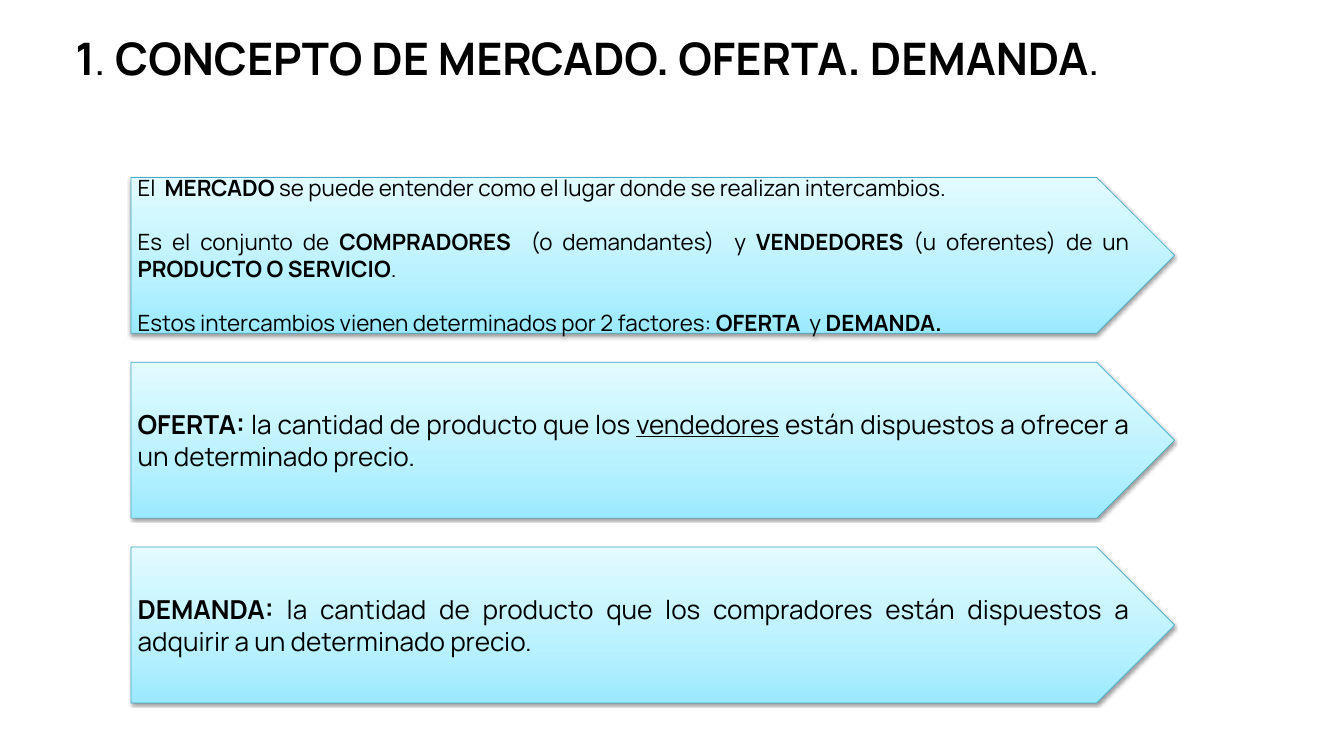
"""Build a slide that defines market, supply and demand."""
from copy import deepcopy
from dataclasses import dataclass

from lxml import etree
from pptx import Presentation
from pptx import util as u
from pptx.dml.color import RGBColor
from pptx.enum import shapes, text
from pptx.oxml import ns


@dataclass(frozen=True)
class Theme:
    font: str = "Manrope"
    ink: str = "000000"
    edge: str = "45A9C4"
    fade: tuple = ((0, "9BE9FF"), (0.35, "B8F1FF"), (1, "E2FBFF"))
    head: int = 48
    body: int = 24
    large: int = 28
    gap: int = 29


def px(n):
    return u.Emu(n * 9144)


def write(par, words, font, size, color, bold=False, line=False):
    run = par.add_run()
    run.text = words
    run.font.name = font
    run.font.size = u.Pt(size)
    run.font.bold = bold
    run.font.underline = line
    run.font.color.rgb = RGBColor.from_string(color)


class Deck:
    def __init__(self, theme):
        self.theme = theme
        self.prs = Presentation()
        self.prs.slide_width, self.prs.slide_height = px(2000), px(1125)
        self.slide = self.prs.slides.add_slide(self.prs.slide_layouts[6])

    def mark(self, par, words, size):
        for i, part in enumerate(words.split("*")):
            for j, bit in enumerate(part.split("_")):
                if bit:
                    write(par, bit, self.theme.font, size, self.theme.ink,
                          bold=i % 2 == 1, line=j % 2 == 1)

    def title(self, words, x, y, w, h):
        box = self.slide.shapes.add_textbox(*map(px, (x, y, w, h)))
        frame = box.text_frame
        frame.word_wrap = True
        frame.auto_size = text.MSO_AUTO_SIZE.SHAPE_TO_FIT_TEXT
        frame.margin_left = frame.margin_right = 0
        frame.margin_top = frame.margin_bottom = 0
        par = frame.paragraphs[0]
        par.space_after = u.Pt(9)
        self.mark(par, words, self.theme.head)

    def paint(self, shape):
        shape.fill.gradient()
        shape.fill.gradient_angle = 90
        first = shape.element.spPr.find(".//" + ns.qn("a:gs"))
        first.addnext(deepcopy(first))
        for stop, (pos, color) in zip(shape.fill.gradient_stops, self.theme.fade):
            stop.position = pos
            stop.color.rgb = RGBColor.from_string(color)
        shape.line.color.rgb = RGBColor.from_string(self.theme.edge)
        shape.line.width = u.Pt(0.75)

    def shade(self, shape):
        shape.shadow.inherit = False
        glow = etree.SubElement(
            shape.element.spPr.find(ns.qn("a:effectLst")), ns.qn("a:outerShdw"),
            blurRad=str(u.Pt(3.1)), dist=str(u.Pt(1.6)), dir="5400000", rotWithShape="0")
        tint = etree.SubElement(glow, ns.qn("a:srgbClr"), val=self.theme.ink)
        etree.SubElement(tint, ns.qn("a:alpha"), val="38000")

    def arrow(self, lines, size, x, y, w, h):
        shape = self.slide.shapes.add_shape(
            shapes.MSO_SHAPE.PENTAGON, *map(px, (x, y, w, h)))
        shape.adjustments[0] = 0.5
        self.paint(shape)
        self.shade(shape)
        frame = shape.text_frame
        frame.word_wrap = True
        frame.vertical_anchor = text.MSO_ANCHOR.MIDDLE
        for i, words in enumerate(lines):
            par = frame.add_paragraph() if i else frame.paragraphs[0]
            par.alignment = text.PP_ALIGN.JUSTIFY
            if i:
                par.space_before = u.Pt(self.theme.gap)
            self.mark(par, words, size)

    def save(self):
        self.prs.save("out.pptx")


def main():
    theme = Theme()
    deck = Deck(theme)
    deck.title("*1*. *CONCEPTO DE MERCADO. OFERTA. DEMANDA*.", 112, 46, 1592, 93)
    items = (
        (theme.body, (
            "El  *MERCADO* se puede entender como el lugar donde se realizan intercambios.",
            "Es el conjunto de *COMPRADORES * (o demandantes)  y *VENDEDORES* "
            "(u oferentes) de un *PRODUCTO O SERVICIO*.",
            "Estos intercambios vienen determinados por 2 factores: *OFERTA*  y *DEMANDA.*")),
        (theme.large, (
            "*OFERTA: *la cantidad de producto que los _vendedores_ están dispuestos "
            "a ofrecer a un determinado precio.",)),
        (theme.large, (
            "*DEMANDA: *la cantidad de producto que los compradores están dispuestos "
            "a adquirir a un determinado precio.",)),
    )
    for i, (size, lines) in enumerate(items):
        deck.arrow(lines, size, 195, 264 + 275 * i, 1553, 232)
    deck.save()


if __name__ == "__main__":
    main()
